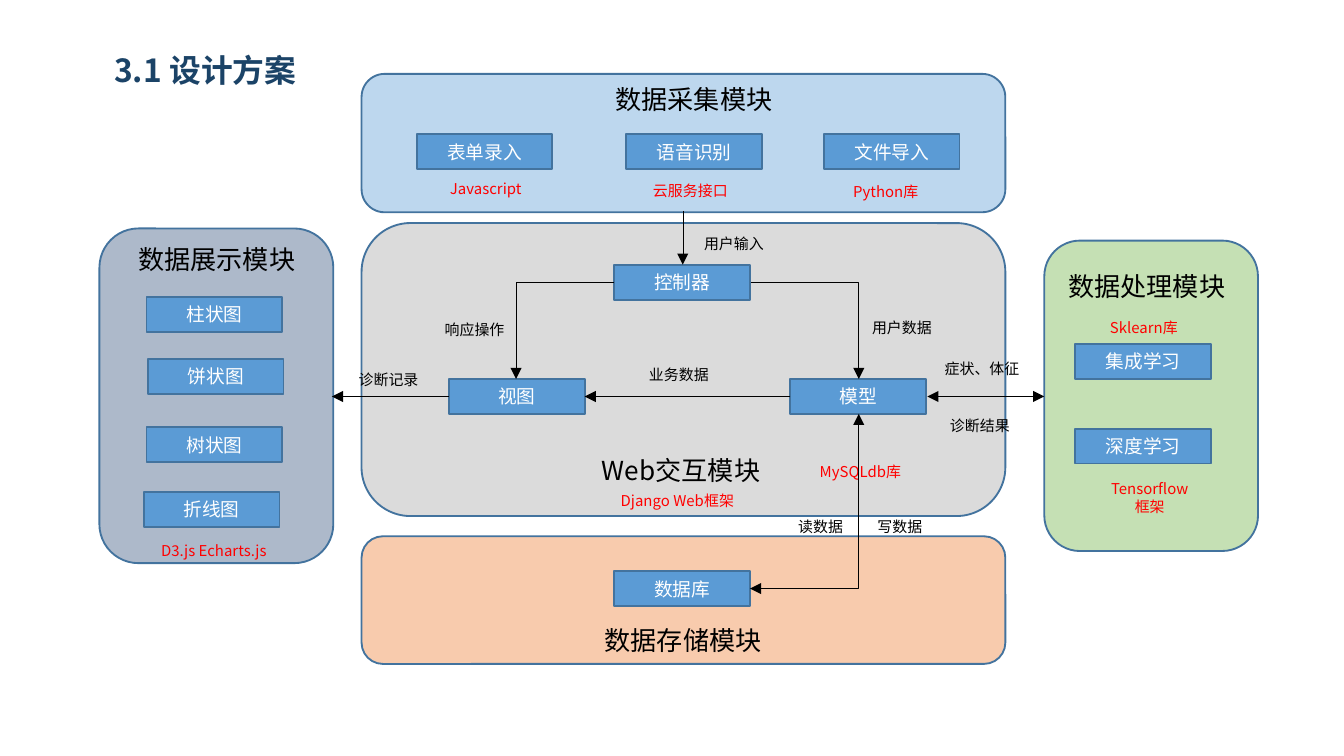
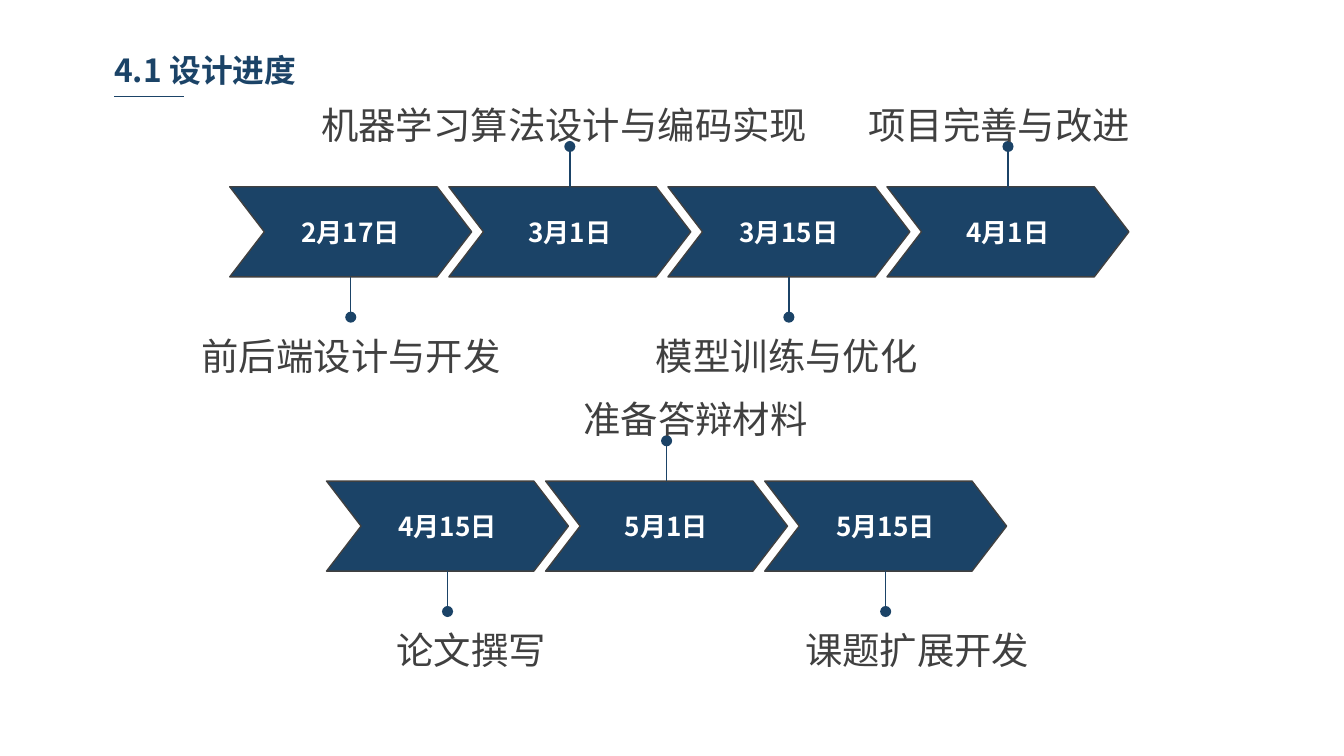
import pptx
import pptx.dml.color
import pptx.enum.shapes
import pptx.enum.text
import pptx.oxml
import pptx.oxml.ns
import pptx.util

FONT = "Noto Sans CJK SC"
NAVY, GRAY, BLACK, WHITE, RED = "1B4367", "404040", "000000", "FFFFFF", "FF0000"
NODE_FILL, NODE_LINE = "5B9BD5", "43739E"
NODE_WIDTH, NODE_HEIGHT = 101, 26
EMU_PER_PX = 9144  # 100 px to the inch
NARROW, NORMAL = (7, 4), (10, 5)  # text margins: sides, top and bottom

SHAPES = pptx.enum.shapes.MSO_SHAPE
CONNECTORS = pptx.enum.shapes.MSO_CONNECTOR
ALIGN = pptx.enum.text.PP_ALIGN
ANCHOR = pptx.enum.text.MSO_ANCHOR
AUTO_SIZE = pptx.enum.text.MSO_AUTO_SIZE
qn = pptx.oxml.ns.qn


def px(*lengths):
    return [pptx.util.Emu(length * EMU_PER_PX) for length in lengths]


def rgb(color):
    return pptx.dml.color.RGBColor.from_string(color)


def add_xml(parent, tag, **attributes):
    element = parent.makeelement(qn(tag), attributes)
    parent.append(element)
    return element


# Shared parts

def write_text(shape, text, size=8, color=BLACK, bold=False, align=ALIGN.LEFT,
               anchor=ANCHOR.TOP, wrap=True, margins=NORMAL, grow=False):
    frame = shape.text_frame
    frame.word_wrap = wrap
    frame.auto_size = AUTO_SIZE.SHAPE_TO_FIT_TEXT if grow else AUTO_SIZE.NONE
    frame.vertical_anchor = anchor
    frame.margin_left, frame.margin_top = px(*margins)
    frame.margin_right, frame.margin_bottom = px(*margins)
    paragraph = frame.paragraphs[0]
    paragraph.alignment = align
    run = paragraph.add_run()
    run.text = text
    run.font.name = FONT
    run.font.size = pptx.util.Pt(size)
    run.font.bold = bold
    run.font.color.rgb = rgb(color)
    add_xml(run.font._element, "a:ea", typeface=FONT)


def add_label(slide, text, left, top, width=76, height=24, **text_format):
    box = slide.shapes.add_textbox(*px(left, top, width, height))
    write_text(box, text, grow=True, **text_format)


def add_block(slide, kind, box, fill, line, line_width):
    shape = slide.shapes.add_shape(kind, *px(*box))
    shape.shadow.inherit = False
    shape.fill.solid()
    shape.fill.fore_color.rgb = rgb(fill)
    shape.line.color.rgb = rgb(line)
    shape.line.width = pptx.util.Pt(line_width)
    return shape


def add_line(slide, start, end, color=BLACK, width=0.5, head=None, tail=None, bent=False):
    """A bent line leaves its start sideways and reaches its end vertically."""
    kind = CONNECTORS.ELBOW if bent else CONNECTORS.STRAIGHT
    connector = slide.shapes.add_connector(kind, *px(*start, *end))
    connector.line.color.rgb = rgb(color)
    connector.line.width = pptx.util.Pt(width)
    properties = connector._element.spPr
    if bent:
        properties.find(qn("a:prstGeom")).set("prst", "bentConnector2")
    outline = properties.find(qn("a:ln"))
    for tag, arrow in (("a:headEnd", head), ("a:tailEnd", tail)):
        if arrow:
            add_xml(outline, tag, type=arrow)
    add_xml(properties, "a:effectLst")


def add_titled_slide(presentation, title):
    slide = presentation.slides.add_slide(presentation.slide_layouts[5])
    shape = slide.shapes.title
    shape.left, shape.top, shape.width, shape.height = px(78, 34, 247, 36)
    write_text(shape, title, size=17, color=NAVY, bold=True, margins=NARROW, grow=True)
    return slide


# Design slide: one function per module

def add_module(slide, box, fill, heading, heading_left, heading_top,
               nodes, technologies=(), heading_width=138):
    """Panel with heading, nodes (text, x, y) and red notes (text, x, y, width, align)."""
    left, top = box[:2]
    add_block(slide, SHAPES.ROUNDED_RECTANGLE, box, fill, NODE_LINE, 1)
    add_label(slide, heading, left + heading_left, top + heading_top,
              heading_width, 34, size=14)
    for text, x, y in nodes:
        node = add_block(slide, SHAPES.RECTANGLE,
                         (left + x, top + y, NODE_WIDTH, NODE_HEIGHT),
                         NODE_FILL, NODE_LINE, 1)
        write_text(node, text, size=10, color=WHITE,
                   align=ALIGN.CENTER, anchor=ANCHOR.MIDDLE)
    for text, x, y, width, align in technologies:
        add_label(slide, text, left + x, top + y, width, color=RED, align=align)


def add_collection_module(slide, box):
    add_module(slide, box, "BDD7EE", "数据采集模块", 179, 2,
               [("表单录入", 41, 45), ("语音识别", 197, 45), ("文件导入", 344, 45)],
               [("Javascript", 56, 74, 77, ALIGN.LEFT),
                ("云服务接口", 207, 75, 77, ALIGN.LEFT),
                ("Python库", 356, 76, 77, ALIGN.LEFT)])


def add_display_module(slide, box):
    add_module(slide, box, "ADB9CA", "数据展示模块", 19, 6,
               [("柱状图", 35, 51), ("饼状图", 36, 97),
                ("树状图", 35, 148), ("折线图", 33, 196)],
               [("D3.js Echarts.js", 36, 228, 104, ALIGN.LEFT)])


def add_web_module(slide, box):
    add_module(slide, box, "DBDBDB", "Web交互模块", 169, 167,
               [("控制器", 188, 31), ("模型", 319, 116), ("视图", 65, 116)],
               [("Django Web框架", 183, 195, 113, ALIGN.LEFT),
                ("MySQLdb库", 331, 173, 88, ALIGN.LEFT)], heading_width=147)


def add_processing_module(slide, box):
    add_module(slide, box, "C5E0B4", "数据处理模块", 8, 17,
               [("集成学习", 23, 77), ("深度学习", 23, 140)],
               [("Sklearn库", 39, 53, 76, ALIGN.LEFT),
                ("Tensorflow框架", 39, 173, 79, ALIGN.CENTER)])


def add_storage_module(slide, box):
    add_module(slide, box, "F8CBAD", "数据存储模块", 171, 61, [("数据库", 188, 26)])


def add_data_flows(slide, web_box):
    left, top = web_box[:2]
    flows = [  # start, end, options
        ((239, -9), (239, 31), {"width": 0.25}),
        ((290, 44), (370, 116), {"bent": True}),
        ((188, 44), (115, 116), {"bent": True}),
        ((319, 129), (166, 129), {}),
        ((65, 129), (-22, 129), {}),
        ((421, 129), (508, 129), {"head": "triangle"}),
        ((289, 272), (370, 142), {"bent": True, "head": "triangle"}),
    ]
    for (x1, y1), (x2, y2), options in flows:
        add_line(slide, (left + x1, top + y1), (left + x2, top + y2),
                 tail="triangle", **options)
    captions = [("用户输入", 245, 4), ("用户数据", 370, 66), ("业务数据", 204, 101),
                ("响应操作", 52, 68), ("症状、体征", 424, 97), ("诊断结果", 428, 139),
                ("读数据", 315, 214), ("写数据", 374, 214), ("诊断记录", -12, 105)]
    for text, x, y in captions:
        add_label(slide, text, left + x, top + y)


def build_design_slide(presentation):
    slide = add_titled_slide(presentation, "3.1 设计方案")
    web_box = (269, 166, 479, 218)
    add_collection_module(slide, (269, 55, 479, 103))
    add_display_module(slide, (74, 170, 174, 249))
    add_web_module(slide, web_box)
    add_processing_module(slide, (777, 179, 159, 231))
    add_storage_module(slide, (269, 399, 479, 95))
    add_data_flows(slide, web_box)


# Schedule slide

def add_phase_row(slide, left, top, phases):
    """Chevrons in a row, each with a pin and a task above or below it."""
    width, height, step = 180, 67, 163
    for index, (date, task, task_left, above) in enumerate(phases):
        x = left + index * step
        chevron = add_block(slide, SHAPES.CHEVRON, (x, top, width, height), NAVY, GRAY, 0.75)
        chevron.adjustments[0] = 0.384
        write_text(chevron, date, size=14, color=WHITE, bold=True, align=ALIGN.CENTER,
                   anchor=ANCHOR.MIDDLE, margins=NARROW)
        pin_x = x + width // 2
        pin_start, pin_end, task_top = (0, -30, -67) if above else (height, 97, 105)
        add_line(slide, (pin_x, top + pin_start), (pin_x, top + pin_end),
                 color=NAVY, width=0.75, tail="oval")
        add_label(slide, task, left + task_left, top + task_top, 28 * len(task) + 15, 41,
                  size=20, color=GRAY, wrap=False, margins=NARROW)


def build_schedule_slide(presentation):
    slide = add_titled_slide(presentation, "4.1 设计进度")
    add_line(slide, (85, 72), (137, 72), color=NAVY, width=0.75)
    add_phase_row(slide, 171, 139, [
        ("2月17日", "前后端设计与开发", -28, False),
        ("3月1日", "机器学习算法设计与编码实现", 61, True),
        ("3月15日", "模型训练与优化", 310, False),
        ("4月1日", "项目完善与改进", 468, True)])
    add_phase_row(slide, 243, 358, [
        ("4月15日", "论文撰写", 45, False),
        ("5月1日", "准备答辩材料", 184, True),
        ("5月15日", "课题扩展开发", 349, False)])


def main():
    presentation = pptx.Presentation()
    presentation.slide_width = pptx.util.Inches(10)
    presentation.slide_height = presentation.slide_width * 9 // 16
    build_design_slide(presentation)
    build_schedule_slide(presentation)
    presentation.save("out.pptx")


if __name__ == "__main__":
    main()
